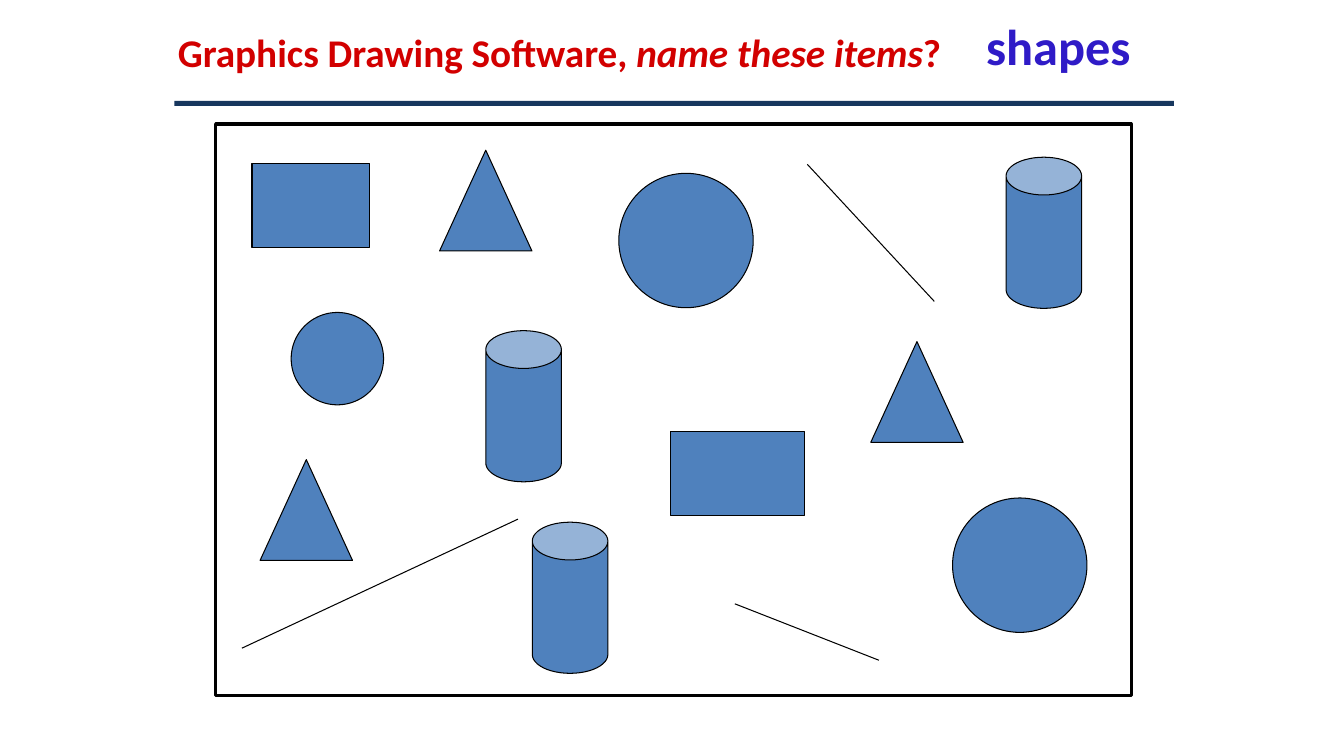
from lxml.etree import SubElement
from pptx import Presentation
from pptx.dml.color import RGBColor
from pptx.enum.shapes import MSO_CONNECTOR, MSO_SHAPE
from pptx.enum.text import MSO_ANCHOR, PP_ALIGN
from pptx.oxml.ns import qn
from pptx.util import Pt

BLUE = "4F81BD"
BLACK = "000000"
RED = "D20000"

# Kind of item: preset, width, height and the top left corners
ITEMS = [
    (MSO_SHAPE.RECTANGLE, 84, 60, [(180, 116.6)]),
    (MSO_SHAPE.OVAL, 66, 66, [(208, 223.2)]),
    (MSO_SHAPE.RECTANGLE, 96, 60, [(478.8, 308.2)]),
    (MSO_SHAPE.ISOSCELES_TRIANGLE, 66, 72,
     [(314, 107.3), (622, 244), (185.8, 328.3)]),
    (MSO_SHAPE.CAN, 54, 108, [(718.6, 112.3), (347, 236.2), (380.2, 373)]),
    (MSO_SHAPE.OVAL, 96, 96, [(442, 123.8), (680.4, 355.7)]),
]
LINES = [
    (172.8, 463, 370, 370.8),
    (576.7, 117.4, 667.4, 215.3),
    (627.8, 471.6, 524.9, 431.3),
]


def color(code):
    return RGBColor.from_string(code)


def add_item(slide, kind, box, fill, line=None, width=0.75):
    shape = slide.shapes.add_shape(kind, *map(Pt, box))
    shape.shadow.inherit = False
    shape.fill.solid()
    shape.fill.fore_color.rgb = color(fill)
    if line:
        shape.line.color.rgb = color(line)
        shape.line.width = Pt(width)
    else:
        shape.line.fill.background()
    return shape


def add_line(slide, ends):
    line = slide.shapes.add_connector(MSO_CONNECTOR.STRAIGHT, *map(Pt, ends))
    line.line.color.rgb = color(BLACK)
    line.line.width = Pt(0.75)
    SubElement(line._element.spPr, qn("a:effectLst"))


def add_text(slide, box, runs, size, code, align):
    frame = slide.shapes.add_textbox(*map(Pt, box)).text_frame
    frame.word_wrap = True
    frame.vertical_anchor = MSO_ANCHOR.MIDDLE
    para = frame.paragraphs[0]
    para.alignment = align
    for text, italic in runs:
        run = para.add_run()
        run.text = text
        style = {"name": "Calibri", "size": Pt(size), "bold": True,
                 "italic": italic}
        for key, value in style.items():
            setattr(run.font, key, value)
        run.font.color.rgb = color(code)


def main():
    deck = Presentation()
    deck.slide_width, deck.slide_height = Pt(960), Pt(540)
    slide = deck.slides.add_slide(deck.slide_layouts[6])

    # Title
    title = [("Graphics Drawing Software, ", False),
             ("name these items", True), ("?", False)]
    add_text(slide, (120, 1.4, 588, 70.6), title, 28, RED, PP_ALIGN.LEFT)

    # Frame around the drawing
    add_item(slide, MSO_SHAPE.RECTANGLE, (154, 88.6, 654, 408),
             "FFFFFF", BLACK, 2.25)

    # Drawn items
    for ends in LINES:
        add_line(slide, ends)
    for kind, width, height, spots in ITEMS:
        for left, top in spots:
            item = add_item(slide, kind, (left, top, width, height),
                            BLUE, BLACK)
            if kind == MSO_SHAPE.CAN:
                item.adjustments[0] = 0.5

    # Rule under the title, and the answer
    add_item(slide, MSO_SHAPE.RECTANGLE, (124.6, 72, 714, 3.6), "17375E")
    add_text(slide, (686.2, -2.9, 139.7, 70.6), [("shapes", False)], 36,
             "2F1BC7", PP_ALIGN.CENTER)

    deck.save("out.pptx")


if __name__ == "__main__":
    main()
